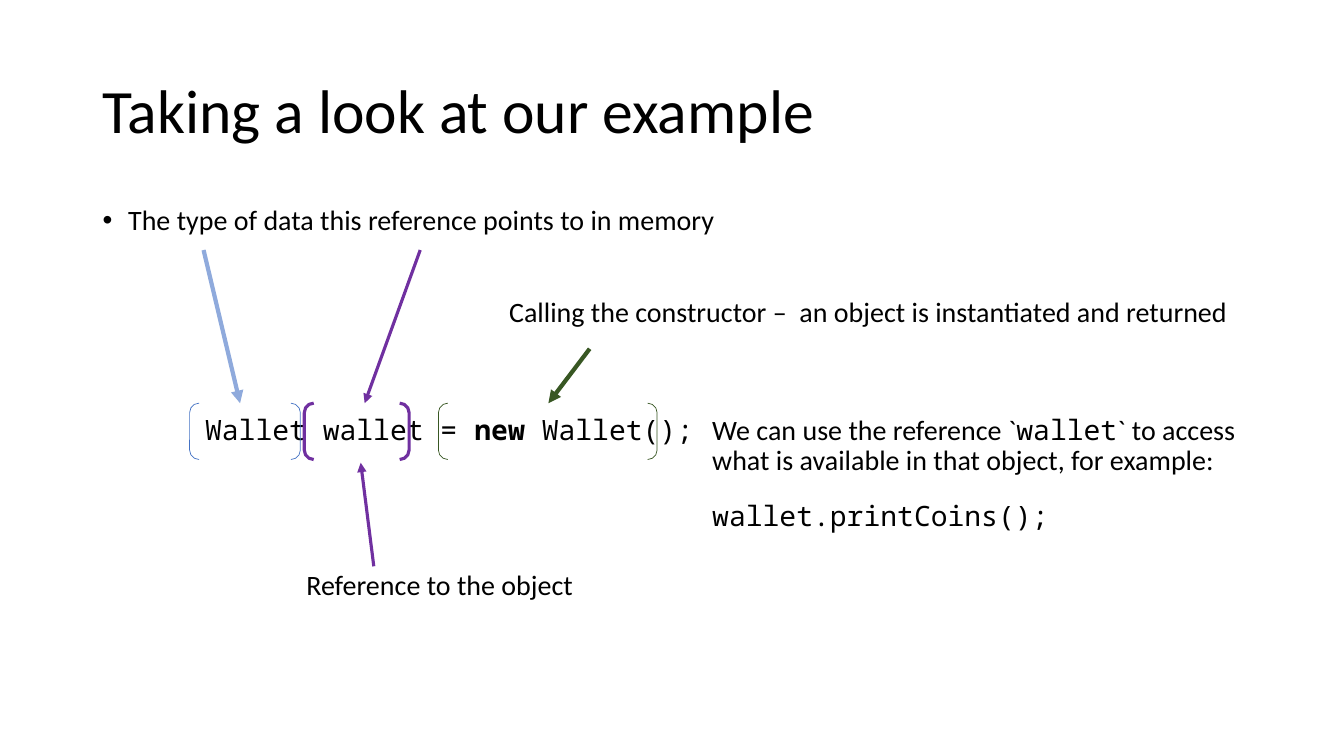
from pptx import Presentation
from pptx.dml.color import RGBColor
from pptx.enum.shapes import MSO_CONNECTOR, MSO_SHAPE
from pptx.enum.text import MSO_ANCHOR
from pptx.oxml.ns import qn
from pptx.util import Cm, Pt
from lxml.etree import SubElement

HUES = {"text": "000000", "type": "8FAADC", "frame": "4472C4",
        "name": "7030A0", "call": "385723"}
SANS, MONO = "Calibri", "Noto Sans Mono"


def tint(key):
    return RGBColor.from_string(HUES[key])


def add_para(para, parts, size=20):
    """Fill a paragraph with (text, font, bold) parts."""
    para.line_spacing = 0.9
    for text, font, bold in parts:
        run = para.add_run()
        run.text = text
        run.font.name = font
        run.font.size = Pt(size)
        run.font.bold = bold
        run.font.color.rgb = tint("text")


def add_text(slide, left, top, wide, high, paras, size=20):
    """Place a text box without margins and return its frame."""
    box = slide.shapes.add_textbox(Cm(left), Cm(top), Cm(wide), Cm(high))
    frame = box.text_frame
    frame.word_wrap = True
    frame.margin_left = frame.margin_right = 0
    frame.margin_top = frame.margin_bottom = 0
    for i, parts in enumerate(paras):
        para = frame.add_paragraph() if i else frame.paragraphs[0]
        add_para(para, parts, size)
    return frame


def add_bullet(para, indent):
    props = para._p.get_or_add_pPr()
    props.set("marL", str(Cm(indent)))
    props.set("indent", str(-Cm(indent)))
    SubElement(props, qn("a:buFont")).set("typeface", "Arial")
    SubElement(props, qn("a:buChar")).set("char", "•")


def add_arrow(slide, start, end, key, width):
    points = [Cm(n) for n in start + end]
    arrow = slide.shapes.add_connector(MSO_CONNECTOR.STRAIGHT, *points)
    arrow.line.color.rgb = tint(key)
    arrow.line.width = Pt(width)
    SubElement(arrow.line._ln, qn("a:tailEnd")).set("type", "triangle")
    SubElement(arrow._element.spPr, qn("a:effectLst"))


def add_brace(slide, left, wide, key, width):
    """Frame one part of the code line with a bracket pair."""
    brace = slide.shapes.add_shape(
        MSO_SHAPE.DOUBLE_BRACKET, Cm(left), Cm(10.16), Cm(wide), Cm(1.42))
    brace.shadow.inherit = False
    brace.fill.background()
    brace.line.color.rgb = tint(key)
    brace.line.width = Pt(width)


def main():
    deck = Presentation()
    deck.slide_width, deck.slide_height = Cm(33.87), Cm(19.05)
    slide = deck.slides.add_slide(deck.slide_layouts[6])

    # Title
    title = add_text(slide, 2.59, 1.02, 28.7, 3.68,
                     [[("Taking a look at our example", SANS, False)]], 44)
    title.vertical_anchor = MSO_ANCHOR.MIDDLE

    # Labels around the code line
    labels = [
        (2.59, 5.2, 28, "The type of data this reference points to in memory"),
        (12.83, 7.51, 19,
         "Calling the constructor –  an object is instantiated and returned"),
        (7.72, 14.4, 9, "Reference to the object"),
    ]
    frames = [add_text(slide, left, top, wide, 0.8, [[(text, SANS, False)]])
              for left, top, wide, text in labels]
    add_bullet(frames[0].paragraphs[0], 0.64)

    # Code line
    add_text(slide, 5.17, 10.48, 12.6, 0.9, [[
        ("Wallet wallet = ", MONO, False), ("new ", MONO, True),
        ("Wallet();", MONO, False)]])

    # Use of the reference
    usage = add_text(slide, 17.95, 10.48, 13.7, 3.3, [
        [("We can use the reference `", SANS, False),
         ("wallet", MONO, False),
         ("` to access what is available in that object, for example:",
          SANS, False)],
        [("wallet.printCoins();", MONO, False)]])
    usage.paragraphs[1].space_before = Pt(18.7)

    # Arrows
    for arrow in [
        ((5.13, 6.3), (6.05, 10.16), "type", 3),
        ((14.86, 8.79), (13.82, 10.16), "call", 3),
        ((10.59, 6.3), (9.19, 10.16), "name", 2.25),
        ((9.42, 14.27), (9.09, 11.66), "name", 2.25),
    ]:
        add_arrow(slide, *arrow)

    # Bracket pairs
    for brace in [(11.05, 5.51, "call", 0.5), (4.78, 2.79, "frame", 0.5),
                  (7.67, 2.64, "name", 2.25)]:
        add_brace(slide, *brace)

    deck.save("out.pptx")


main()
